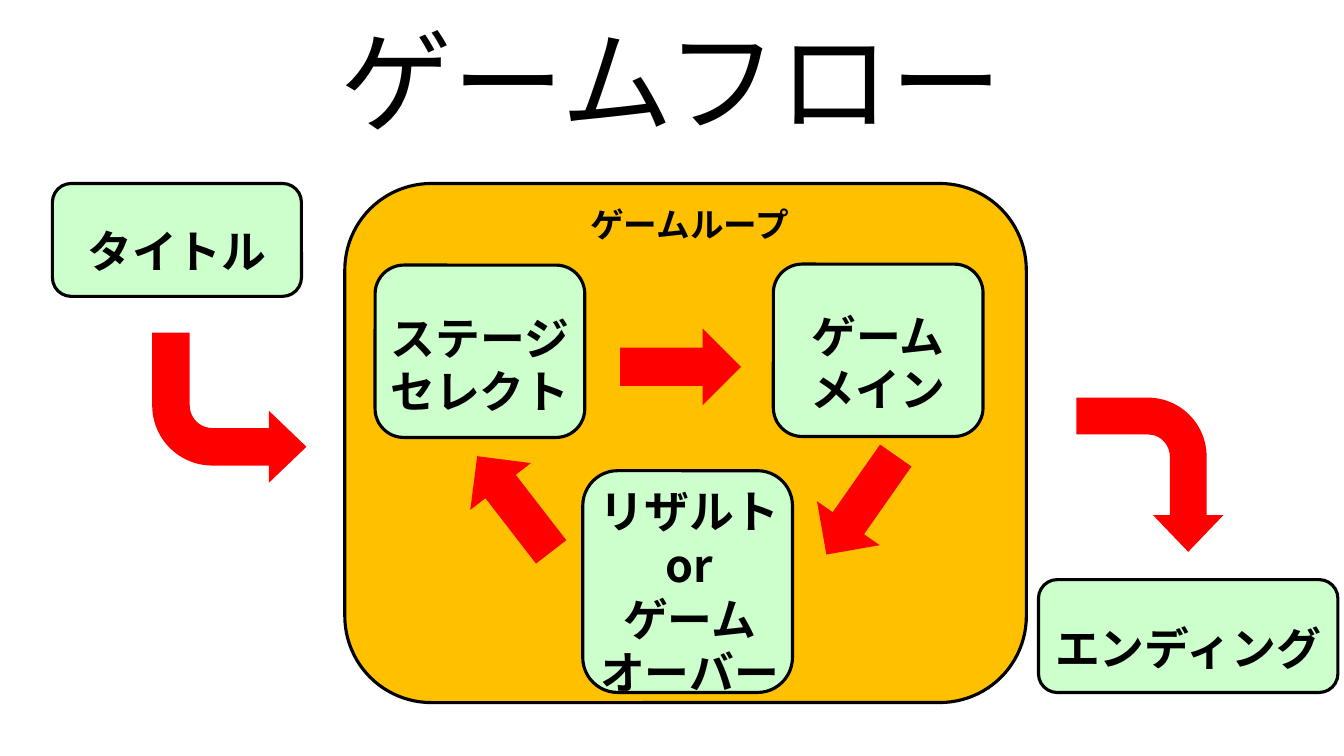
import pptx
import pptx.util
import pptx.dml.color
import pptx.enum.shapes
import pptx.enum.text
import pptx.oxml.ns
import lxml.etree

Inches = pptx.util.Inches
SHAPE = pptx.enum.shapes.MSO_SHAPE
COLORS = {"text": "000000", "box": "CCFFCC", "loop": "FFC000", "arrow": "FF0000"}


class FlowSlide:
    """Draws the boxes, labels and arrows of a flow chart on one slide."""

    font = "Noto Sans CJK JP"
    line_width = 2.25

    def __init__(self, prs):
        self.slide = prs.slides.add_slide(prs.slide_layouts[6])

    def color(self, name):
        return pptx.dml.color.RGBColor.from_string(COLORS[name])

    def shape(self, kind, at, fill, parent=None):
        sp = (parent or self.slide).shapes.add_shape(kind, *map(Inches, at))
        sp.shadow.inherit = False
        sp.fill.solid()
        sp.fill.fore_color.rgb = self.color(fill)
        sp.line.fill.background()
        return sp

    def box(self, at, fill="box", parent=None):
        sp = self.shape(SHAPE.ROUNDED_RECTANGLE, at, fill, parent)
        sp.line.color.rgb = self.color("text")
        sp.line.width = pptx.util.Pt(self.line_width)

    def text(self, text, at, size=32, bold=True, parent=None):
        sp = (parent or self.slide).shapes.add_textbox(*map(Inches, at))
        tf = sp.text_frame
        tf.word_wrap = True
        tf.auto_size = pptx.enum.text.MSO_AUTO_SIZE.SHAPE_TO_FIT_TEXT
        tf.text = text
        for p in tf.paragraphs:
            p.alignment = pptx.enum.text.PP_ALIGN.CENTER
            for r in p.runs:
                r.font.size = pptx.util.Pt(size)
                r.font.bold = bold
                r.font.color.rgb = self.color("text")
                r.font.name = self.font
                latin = r.font._element.find(pptx.oxml.ns.qn("a:latin"))
                ea = lxml.etree.Element(pptx.oxml.ns.qn("a:ea"), typeface=self.font)
                latin.addnext(ea)
        return tf

    def title(self, text, at):
        tf = self.text(text, at, 80, False)
        tf.auto_size = pptx.enum.text.MSO_AUTO_SIZE.NONE
        tf.vertical_anchor = pptx.enum.text.MSO_ANCHOR.MIDDLE
        tf.paragraphs[0].line_spacing = 0.9

    def step(self, text, box_at, text_at):
        group = self.slide.shapes.add_group_shape()
        self.box(box_at, parent=group)
        self.text(text, text_at, parent=group)

    def arrow(self, left, top, rotation=0):
        sp = self.shape(SHAPE.RIGHT_ARROW, (left, top, 1.2, 0.76), "arrow")
        sp.rotation = rotation

    def bent_arrow(self, at, rotation=0, flip=False):
        sp = self.shape(SHAPE.BENT_ARROW, at, "arrow")
        for i, value in enumerate((0.25, 0.24, 0.25, 0.4)):
            sp.adjustments[i] = value
        sp.rotation = rotation
        if flip:
            sp.element.spPr.find(pptx.oxml.ns.qn("a:xfrm")).set("flipV", "1")


def main():
    prs = pptx.Presentation()
    prs.slide_width, prs.slide_height = Inches(13.33), Inches(7.5)
    s = FlowSlide(prs)

    s.title("ゲームフロー", (0, 0.07, 13.33, 1.6))
    s.step("タイトル", (0.52, 1.82, 2.47, 1.12), (0.52, 2.17, 2.47, 0.41))
    s.bent_arrow((1.51, 3.3, 1.53, 1.49), flip=True)
    s.step("エンディング", (10.3, 5.75, 2.97, 1.12), (10.3, 6.11, 2.97, 0.64))
    s.bent_arrow((10.64, 3.98, 1.53, 1.46), rotation=90)

    s.box((3.42, 1.82, 6.76, 5.15), "loop")
    s.text("ゲームループ", (3.64, 1.97, 6.4, 0.5), 24)
    s.step("ステージセレクト", (3.72, 2.63, 2.08, 1.71), (3.72, 3.03, 2.08, 1.31))
    s.step("ゲーム\nメイン", (7.67, 2.62, 2.08, 1.71), (7.67, 3.01, 2.08, 1.18))
    s.step("リザルト\nor\nゲームオーバー", (5.78, 4.67, 2.08, 2.2), (5.8, 4.75, 2.08, 2.91))
    s.arrow(6.15, 3.26)
    s.arrow(4.5, 4.62, 232.3)
    s.arrow(7.94, 4.63, 125)

    prs.save("out.pptx")


if __name__ == "__main__":
    main()
